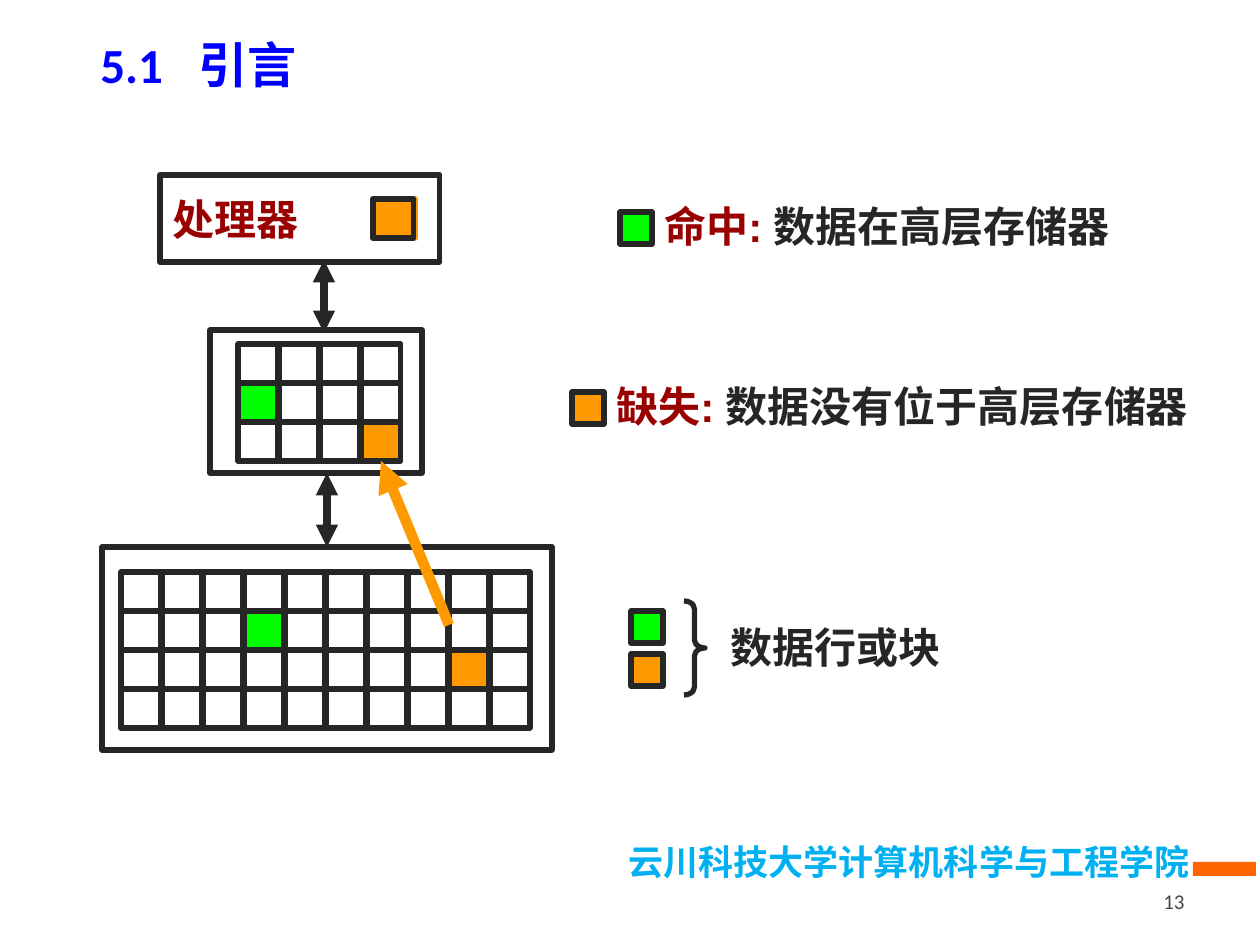
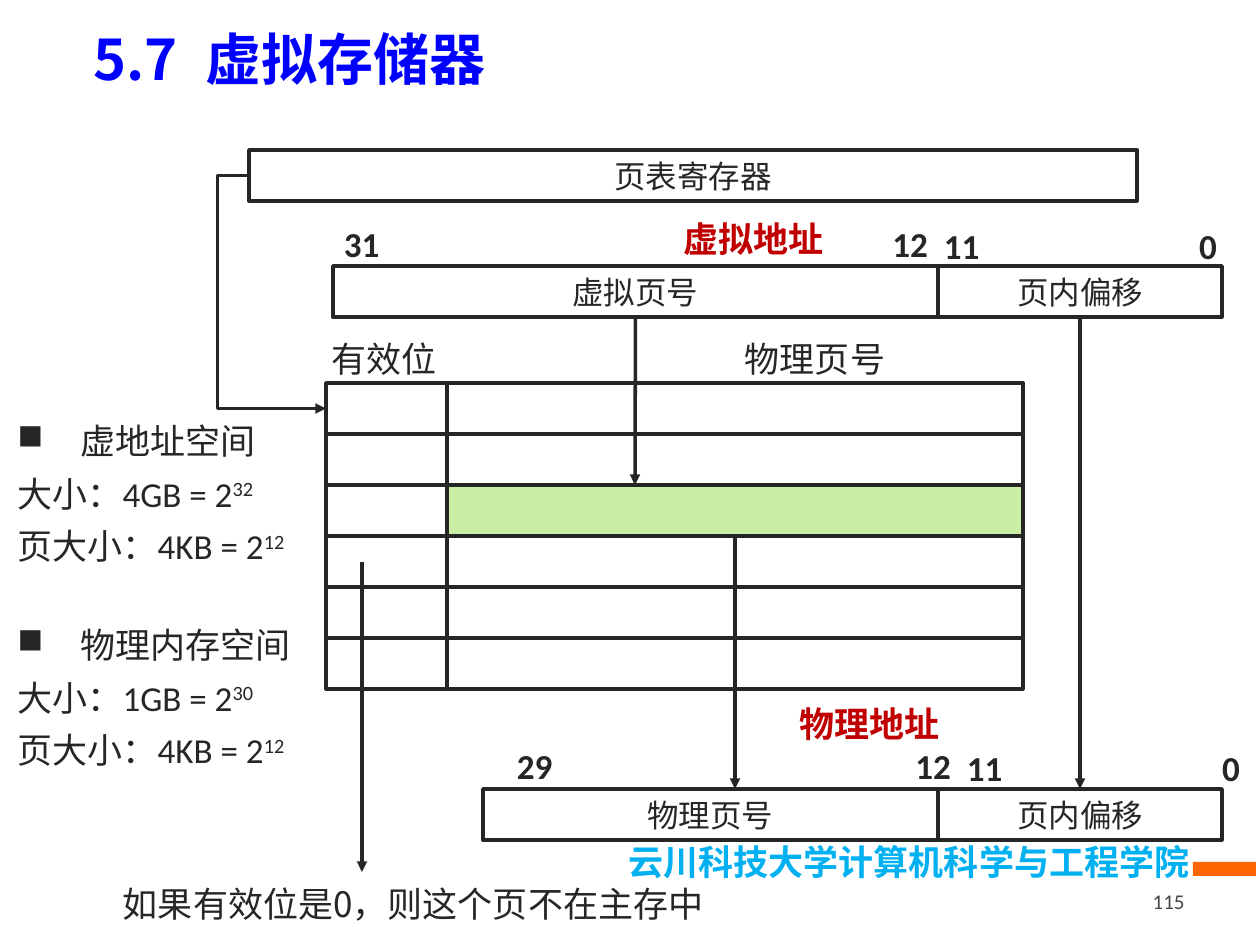
from lxml.etree import SubElement
from pptx import Presentation
from pptx.dml.color import RGBColor
from pptx.enum.shapes import MSO_CONNECTOR as LINK, MSO_SHAPE as SHAPE
from pptx.enum.text import MSO_ANCHOR as ANCHOR, PP_ALIGN as ALIGN
from pptx.oxml.ns import qn
from pptx.util import Pt

PX = 914400 // 126
CJK = "Noto Sans CJK SC"
COLORS = {
    "ink": "262626", "title": "0000FF", "footer": "00B0F0", "bar": "FF6600",
    "number": "474747", "term": "990000", "address": "C00000", "white": "FFFFFF",
    "hit": "00FF00", "miss": "FF9900", "entry": "CAEEA6",
}
STYLES = {
    "title": ("title", {"size": Pt(28), "bold": True, "name": "Calibri"}),
    "big_title": ("title", {"size": Pt(32), "bold": True, "name": CJK}),
    "footer": ("footer", {"size": Pt(20), "bold": True, "name": CJK}),
    "number": ("number", {"size": Pt(12), "name": "Calibri"}),
    "processor": ("term", {"size": Pt(24), "bold": True, "name": "Times New Roman"}),
    "term": ("term", {"size": Pt(24), "bold": True, "name": "Arial"}),
    "meaning": ("ink", {"size": Pt(24), "bold": True, "name": "Arial"}),
    "field": ("ink", {"size": Pt(18), "name": "Calibri"}),
    "body": ("ink", {"size": Pt(20), "name": "Calibri"}),
    "bit": ("ink", {"size": Pt(20), "bold": True, "name": "Calibri"}),
    "address": ("address", {"size": Pt(20), "bold": True, "name": "Calibri"}),
    "note": ("ink", {"size": Pt(20), "name": CJK}),
}
CELL_W, CELL_H = 40, 39
ROW_H = 51


def px(*values):
    """Turn pixel lengths into EMU."""
    return [v * PX for v in values]


def rgb(name):
    """Look up a named colour."""
    return RGBColor.from_string(COLORS[name])


def add_run(p, text, style, baseline=None):
    """Append a styled run to a paragraph."""
    color, fmt = STYLES[style]
    r = p.add_run()
    r.text = text
    r.font.color.rgb = rgb(color)
    for name, value in fmt.items():
        setattr(r.font, name, value)
    rPr = r._r.get_or_add_rPr()
    SubElement(rPr, qn("a:ea")).set("typeface", CJK)
    if baseline:
        rPr.set("baseline", str(baseline))


def set_frame(tf, inset=True, anchor=ANCHOR.MIDDLE):
    """Set wrapping, anchor and insets of a text frame."""
    fmt = {"word_wrap": True, "vertical_anchor": anchor}
    if not inset:
        fmt.update({f"margin_{side}": 0 for side in ("left", "top", "right", "bottom")})
    for name, value in fmt.items():
        setattr(tf, name, value)


def add_text(s, box, runs, align=ALIGN.LEFT, inset=True):
    """Add a one-paragraph text box and return its paragraph."""
    tf = s.shapes.add_textbox(*px(*box)).text_frame
    set_frame(tf, inset)
    p = tf.paragraphs[0]
    p.alignment = align
    for text, style in runs:
        add_run(p, text, style)
    return p


def add_label(s, box, text, style="body", align=ALIGN.CENTER):
    """Add a text box without insets."""
    return add_text(s, box, [(text, style)], align, inset=False)


def add_shape(s, box, fill=None, line="ink", width=3, kind=SHAPE.RECTANGLE):
    """Add an outlined shape with an optional fill."""
    sp = s.shapes.add_shape(kind, *px(*box))
    sp.shadow.inherit = False
    if fill:
        sp.fill.solid()
        sp.fill.fore_color.rgb = rgb(fill)
    else:
        sp.fill.background()
    if line:
        sp.line.color.rgb = rgb(line)
        sp.line.width = Pt(width)
    else:
        sp.line.fill.background()
    return sp


def add_field(s, box, text, style="field", align=ALIGN.CENTER, width=2, inset=False):
    """Add a rectangle with a caption inside."""
    sp = add_shape(s, box, width=width)
    set_frame(sp.text_frame, inset)
    p = sp.text_frame.paragraphs[0]
    p.alignment = align
    add_run(p, text, style)
    return sp


def add_grid(s, left, top, cols, rows, fills):
    """Draw memory cells and return them by row and column."""
    cells = {}
    order = sorted(((r, c) for r in range(rows) for c in range(cols)),
                   key=lambda at: at in fills)
    for r, c in order:
        box = (left + c * (CELL_W + 1), top + r * CELL_H, CELL_W, CELL_H)
        cells[r, c] = add_shape(s, box, fills.get((r, c)))
    return cells


def add_arrow(s, ends, color="ink", width=2, begin=None, end=None, both=False, bend=None):
    """Draw an arrow, joined to shapes where begin or end is given."""
    kind = LINK.STRAIGHT if bend is None else LINK.ELBOW
    cx = s.shapes.add_connector(kind, *px(*ends))
    if begin:
        cx.begin_connect(*begin)
    if end:
        cx.end_connect(*end)
    cx.line.color.rgb = rgb(color)
    cx.line.width = Pt(width)
    ln = cx.line._get_or_add_ln()
    for tag in ["a:headEnd"] * both + ["a:tailEnd"]:
        SubElement(ln, qn(tag)).set("type", "triangle")
    spPr = cx._element.spPr
    SubElement(spPr, qn("a:effectLst"))
    if bend is not None:
        guides = spPr.find(qn("a:prstGeom")).get_or_add_avLst()
        gd = SubElement(guides, qn("a:gd"))
        gd.set("name", "adj1")
        gd.set("fmla", f"val {bend}")


def add_title(s, box, number, name, style, tab):
    """Add the section number and name, parted by a tab stop."""
    p = add_text(s, box, [(f"{number}\t{name}", style)])
    tabs = SubElement(p._p.get_or_add_pPr(), qn("a:tabLst"))
    stop = SubElement(tabs, qn("a:tab"))
    stop.set("pos", str(tab * PX))
    stop.set("algn", "l")


def add_footer(s, number):
    """Add the school name, the orange bar and the page number."""
    add_text(s, (103, 834, 1099, 55), [("云川科技大学计算机科学与工程学院", "footer")], ALIGN.RIGHT)
    add_shape(s, (1193, 862, 63, 14), "bar", None)
    add_text(s, (903, 876, 294, 50), [(number, "number")], ALIGN.RIGHT)


def add_legend(s, left, top, color, term, meaning, width):
    """Add a colour key followed by a term and its meaning."""
    add_shape(s, (left, top, 32, 32), color)
    add_text(s, (left + 32, top - 18, width, 64), [(term, "term"), (meaning, "meaning")])


def add_space(s, top, name, sizes):
    """Add a bulleted address space with its sizes as powers of two."""
    tf = s.shapes.add_textbox(*px(5, top, 357, 173)).text_frame
    set_frame(tf, anchor=ANCHOR.TOP)
    p = tf.paragraphs[0]
    p.line_spacing = 1.25
    add_run(p, name, "body")
    pPr = p._p.get_or_add_pPr()
    pPr.set("marL", str(63 * PX))
    pPr.set("indent", str(-63 * PX))
    SubElement(pPr, qn("a:buChar")).set("char", "■")
    for text, power in sizes:
        p = tf.add_paragraph()
        p.line_spacing = 1.25
        add_run(p, text, "body")
        add_run(p, power, "body", 30000)


def add_address(s, left, top, page, high_bit, shift, bits_top):
    """Draw an address split into page number and page offset."""
    split, right = 938, 1222
    parts = [add_field(s, (left, top, split - left, ROW_H), page),
             add_field(s, (split, top, right - split, ROW_H), "页内偏移")]
    bits = [(high_bit, left + 11, ALIGN.LEFT, 0), ("12", split - 70, ALIGN.RIGHT, 0),
            ("11", split + 6, ALIGN.LEFT, 2), ("0", right - 65, ALIGN.RIGHT, 2)]
    for text, x, align, drop in bits:
        add_label(s, (x + shift, bits_top + drop, 60, 47), text, "bit", align)
    return parts


def build_hierarchy(s):
    """Build the slide on hits and misses in the memory hierarchy."""
    add_footer(s, "13")
    add_title(s, (88, 16, 721, 95), "5.1", "引言", "title", 98)
    add_field(s, (160, 175, 280, 87), "处理器", "processor", ALIGN.LEFT, 3, True)
    add_shape(s, (373, 199, 42, 39), "white", "miss")
    add_shape(s, (373, 199, 41, 39), "miss")

    cache = add_shape(s, (210, 330, 212, 143))
    memory = add_shape(s, (102, 547, 450, 203))
    cached = add_grid(s, 238, 344, 4, 3, {(1, 0): "hit", (2, 3): "miss"})
    add_grid(s, 121, 572, 10, 4, {(1, 3): "hit", (2, 8): "miss"})
    add_arrow(s, (324, 260, 324, 333), width=4.25, both=True)
    add_arrow(s, (327, 473, 327, 547), width=4.25, both=True, end=(memory, 0))

    add_legend(s, 620, 212, "hit", "命中: ", "数据在高层存储器", 478)
    add_legend(s, 572, 392, "miss", "缺失: ", "数据没有位于高层存储器", 606)
    for top, color in ((611, "hit"), (654, "miss")):
        add_shape(s, (631, top, 32, 32), color)
    brace = add_shape(s, (684, 601, 21, 94), kind=SHAPE.RIGHT_BRACE)
    brace.adjustments[0] = 0.375
    add_text(s, (718, 615, 260, 63), [("数据行或块", "meaning")])
    add_arrow(s, (449, 625, 381, 461), "miss", 6, end=(cached[2, 3], 2))


def build_virtual_memory(s):
    """Build the slide on address translation by page table."""
    add_footer(s, "115")
    add_title(s, (81, 11, 1129, 95), "5.7", "虚拟存储器", "big_title", 112)
    register = add_field(s, (249, 150, 888, ROW_H), "页表寄存器")
    virtual_page, virtual_offset = add_address(s, 333, 266, "虚拟页号", "31", 0, 220)
    _, physical_offset = add_address(s, 483, 789, "物理页号", "29", 23, 742)
    add_label(s, (614, 204, 280, 69), "虚拟地址", "address")
    add_label(s, (730, 689, 280, 69), "物理地址", "address")

    valid, pages = [], []
    for row in range(6):
        top = 383 + row * ROW_H
        pages.append(add_shape(s, (447, top, 576, ROW_H), "entry" if row == 2 else None, width=2))
        valid.append(add_shape(s, (326, top, 121, ROW_H), width=2))
    add_label(s, (300, 324, 168, 69), "有效位")
    add_label(s, (693, 324, 244, 69), "物理页号")

    add_arrow(s, (249, 175, 326, 408), begin=(register, 1), end=(valid[0], 1), bend=-40800)
    add_arrow(s, (635, 317, 635, 485), begin=(virtual_page, 2))
    add_arrow(s, (735, 536, 735, 789), begin=(pages[2], 2))
    add_arrow(s, (1080, 317, 1080, 789), begin=(virtual_offset, 2), end=(physical_offset, 0))
    add_arrow(s, (362, 562, 362, 872))

    page_size = ("页大小：4KB = 2", "12")
    add_space(s, 403, "虚地址空间", [("大小：4GB = 2", "32"), page_size])
    add_space(s, 607, "物理内存空间", [("大小：1GB = 2", "30"), page_size])
    add_label(s, (123, 869, 655, 69), "如果有效位是0，则这个页不在主存中", "note", ALIGN.LEFT)


def main():
    """Build both slides and save the file."""
    prs = Presentation()
    prs.slide_width, prs.slide_height = px(1260, 945)
    for build in (build_hierarchy, build_virtual_memory):
        build(prs.slides.add_slide(prs.slide_layouts[6]))
    prs.save("out.pptx")


if __name__ == "__main__":
    main()
